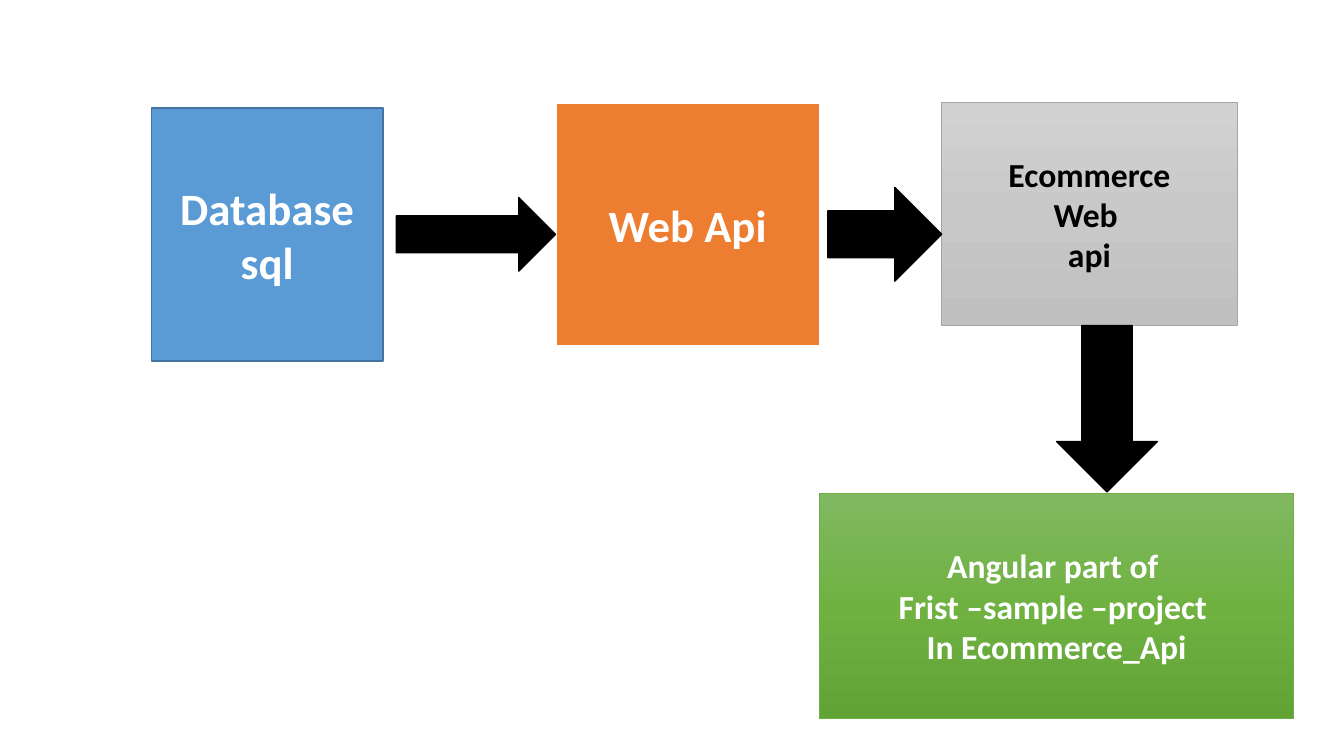
"""Build the slide that shows how the database, web API and client connect."""
import copy
import pptx
import pptx.util
import pptx.dml.color
import pptx.enum.shapes
import pptx.enum.text

Inches, Pt = pptx.util.Inches, pptx.util.Pt
RGB = pptx.dml.color.RGBColor.from_string
SHAPE = pptx.enum.shapes.MSO_SHAPE

THEME = {
    "font": "Calibri", "large": 32, "small": 24,
    "white": "FFFFFF", "black": "000000",
    "blue": "5B9BD5", "blue_edge": "43739E", "orange": "ED7D31",
    "grays": ("D2D2D2", "C8C8C8", "C0C0C0"), "gray_edge": "A5A5A5",
    "greens": ("81B861", "6FB242", "62A336"), "green_edge": "70AD47",
}

BOXES = [
    {"at": (1.5, 1.07, 2.3, 2.51), "fill": "blue", "edge": "blue_edge", "width": 1,
     "size": "large", "ink": "white", "lines": ["Database", "sql"]},
    {"at": (5.51, 1.02, 2.62, 2.41), "fill": "orange", "edge": "white", "width": 1.5,
     "size": "large", "ink": "white", "lines": ["Web Api"]},
    {"at": (9.34, 1.02, 2.93, 2.21), "fill": "grays", "edge": "gray_edge", "width": 0.5,
     "size": "small", "ink": "black", "lines": ["Ecommerce", "Web ", "api"]},
    {"at": (8.13, 4.89, 4.7, 2.24), "fill": "greens", "edge": "green_edge", "width": 0.5,
     "size": "small", "ink": "white",
     "lines": ["Angular part of ", "Frist –sample –project ", "In Ecommerce_Api"]},
]

ARROWS = [
    (SHAPE.RIGHT_ARROW, (3.93, 1.96, 1.58, 0.73)),
    (SHAPE.RIGHT_ARROW, (8.21, 1.86, 1.13, 0.93)),
    (SHAPE.DOWN_ARROW, (10.48, 3.23, 1, 1.65)),
]


def fill_gradient(fill, colors):
    """Fill from top to bottom with evenly spaced colours."""
    fill.gradient()
    fill.gradient_angle = 270
    first = fill.gradient_stops[0]._gs
    while len(fill.gradient_stops) < len(colors):
        first.addnext(copy.deepcopy(first))
    for i, (stop, color) in enumerate(zip(fill.gradient_stops, colors)):
        stop.position = i / (len(colors) - 1)
        stop.color.rgb = RGB(color)


def add_shape(slide, kind, at, fill, edge, width):
    """Add a preset shape with a solid or gradient fill."""
    sp = slide.shapes.add_shape(kind, *map(Inches, at))
    sp.shadow.inherit = False
    color = THEME[fill]
    if isinstance(color, tuple):
        fill_gradient(sp.fill, color)
    else:
        sp.fill.solid()
        sp.fill.fore_color.rgb = RGB(color)
    sp.line.color.rgb = RGB(THEME[edge])
    sp.line.width = Pt(width)
    return sp


def add_lines(sp, lines, size, ink):
    """Write centred bold lines, one paragraph each."""
    tf = sp.text_frame
    tf.word_wrap = True
    tf.vertical_anchor = pptx.enum.text.MSO_ANCHOR.MIDDLE
    for i, line in enumerate(lines):
        p = tf.add_paragraph() if i else tf.paragraphs[0]
        p.alignment = pptx.enum.text.PP_ALIGN.CENTER
        r = p.add_run()
        r.text = line
        r.font.name = THEME["font"]
        r.font.size = Pt(THEME[size])
        r.font.bold = True
        r.font.color.rgb = RGB(THEME[ink])


prs = pptx.Presentation()
prs.slide_width, prs.slide_height = Inches(13.33), Inches(7.5)
s = prs.slides.add_slide(prs.slide_layouts[6])

for box in BOXES:
    sp = add_shape(s, SHAPE.RECTANGLE, box["at"], box["fill"], box["edge"], box["width"])
    add_lines(sp, box["lines"], box["size"], box["ink"])
for kind, at in ARROWS:
    add_shape(s, kind, at, "black", "black", 1)

prs.save("out.pptx")
